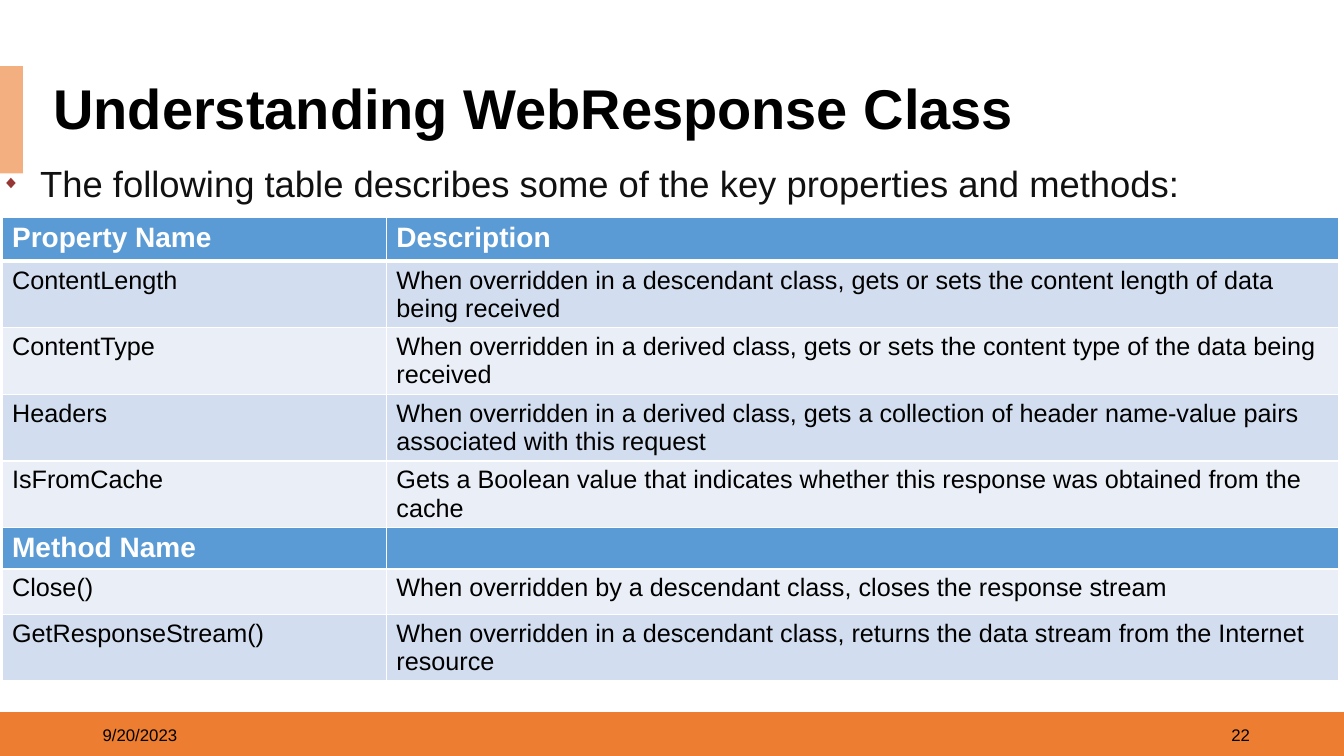
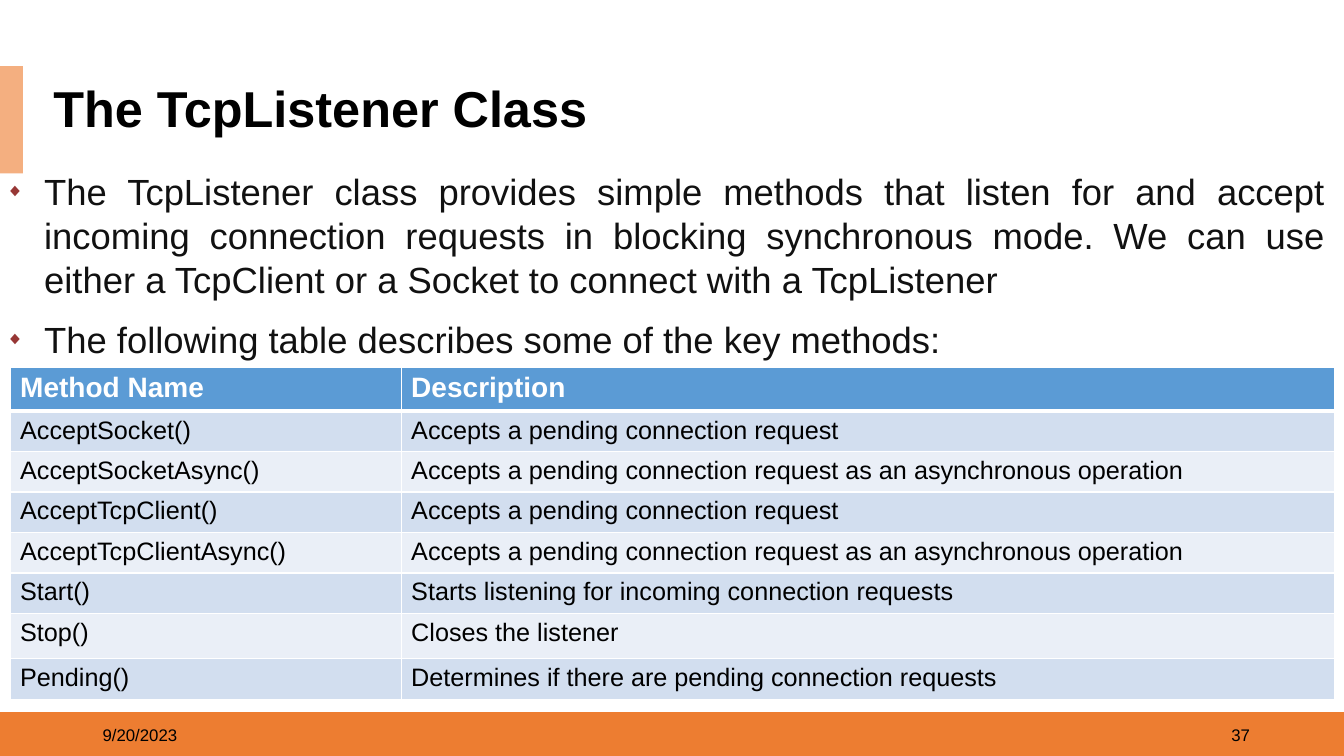
from lxml import etree
from pptx import Presentation
from pptx import util as u
from pptx.dml.color import RGBColor
from pptx.enum import shapes, text
from pptx.oxml import ns

COLORS = {
    "footer": "ED7D31", "accent": "F4AF80", "paper": "FFFFFF", "ink": "000000",
    "body": "111111", "bullet": "973735", "header": "5B9BD5",
    "odd row": "D2DEEF", "even row": "EAEFF7",
}
FONT = "Arial"
BODY_SIZE = 26
LEFT, RIGHT, JUSTIFY = text.PP_ALIGN.LEFT, text.PP_ALIGN.RIGHT, text.PP_ALIGN.JUSTIFY
DATE = "9/20/2023"

# All lengths are percentages of the slide's width or height.
BANDS = [((0, 94.2, 100, 5.8), "footer"), ((0, 8.75, 1.7, 14.2), "accent")]
TITLE_BOX = (3.22, 10.5, 95.9, 8.4)
DATE_BOX = (6.9, 94.5, 22.5, 5.3)
NUMBER_BOX = (71.25, 94.5, 22.5, 5.3)

SLIDES = [
    {
        "title": "Understanding WebResponse Class", "title_size": 40, "number": "22",
        "body_box": (-0.6, 20.65, 94.4, 7.2), "gap": 0,
        "body": ["The following table describes some of the key properties and methods:"],
        "table_at": (0.15, 28.7), "columns": (28.6, 70.85),
        "row_heights": [5.87, 8.8, 8.8, 8.8, 8.8, 5.5, 6, 8.8],
        "rows": [
            ("Property Name", "Description"),
            ("ContentLength", "When overridden in a descendant class, gets or sets the "
                              "content length of data being received"),
            ("ContentType", "When overridden in a derived class, gets or sets the "
                            "content type of the data being received"),
            ("Headers", "When overridden in a derived class, gets a collection of "
                        "header name-value pairs associated with this request"),
            ("IsFromCache", "Gets a Boolean value that indicates whether this response "
                            "was obtained from the cache"),
            ("Method Name", ""),
            ("Close()", "When overridden by a descendant class, closes the response stream"),
            ("GetResponseStream()", "When overridden in a descendant class, returns the "
                                    "data stream from the Internet resource"),
        ],
    },
    {
        "title": "The TcpListener Class", "title_size": 36, "number": "37",
        "body_box": (-0.3, 21.75, 99.75, 26.8), "gap": 6,
        "body": [
            "The TcpListener class provides simple methods that listen for and accept "
            "incoming connection requests in blocking synchronous mode. We can use "
            "either a TcpClient or a Socket to connect with a TcpListener",
            "The following table describes some of the key methods:",
        ],
        "table_at": (0.75, 48.6), "columns": (29.1, 69.45),
        "row_heights": [5.8] + [5.35] * 5 + [6, 5.4],
        "rows": [
            ("Method Name", "Description"),
            ("AcceptSocket()", "Accepts a pending connection request"),
            ("AcceptSocketAsync()",
             "Accepts a pending connection request as an asynchronous operation"),
            ("AcceptTcpClient()", "Accepts a pending connection request"),
            ("AcceptTcpClientAsync()",
             "Accepts a pending connection request as an asynchronous operation"),
            ("Start()", "Starts listening for incoming connection requests"),
            ("Stop()", "Closes the listener"),
            ("Pending()", "Determines if there are pending connection requests"),
        ],
    },
]

prs = Presentation()
prs.slide_width, prs.slide_height = u.Inches(13.33), u.Inches(7.5)


def place(left, top, width, height):
    """Turn percentages of the slide into lengths."""
    sides = (prs.slide_width, prs.slide_height) * 2
    return [u.Emu(round(share * side / 100))
            for share, side in zip((left, top, width, height), sides)]


def write(frame, *lines, size, color="ink", bold=False, align=LEFT, spacing=1.0,
          gap=0, bullet=None, anchor=text.MSO_ANCHOR.MIDDLE):
    frame.word_wrap = True
    frame.auto_size = text.MSO_AUTO_SIZE.NONE
    frame.vertical_anchor = anchor
    for index, line in enumerate(lines):
        paragraph = frame.add_paragraph() if index else frame.paragraphs[0]
        paragraph.alignment, paragraph.line_spacing = align, spacing
        paragraph.space_before = u.Pt(gap if index else 0)
        paragraph.space_after = u.Pt(gap)
        if bullet:
            props = paragraph._p.get_or_add_pPr()
            props.set("marL", str(u.Inches(0.38)))
            props.set("indent", str(-u.Inches(0.38)))
            tint = etree.SubElement(props, ns.qn("a:buClr"))
            etree.SubElement(tint, ns.qn("a:srgbClr"), val=COLORS["bullet"])
            etree.SubElement(props, ns.qn("a:buSzPct"), val="50000")
            etree.SubElement(props, ns.qn("a:buFont"), typeface=FONT)
            etree.SubElement(props, ns.qn("a:buChar"), char=bullet)
        run = paragraph.add_run()
        run.text = line
        run.font.name, run.font.size, run.font.bold = FONT, u.Pt(size), bold
        run.font.color.rgb = RGBColor.from_string(COLORS[color])


title_only = prs.slide_layouts[5]
for content in SLIDES:
    slide = prs.slides.add_slide(title_only)

    for box, color in BANDS:
        band = slide.shapes.add_shape(shapes.MSO_SHAPE.RECTANGLE, *place(*box))
        band.shadow.inherit = False
        band.fill.solid()
        band.fill.fore_color.rgb = RGBColor.from_string(COLORS[color])
        band.line.fill.background()

    for box, label, align in ((DATE_BOX, DATE, LEFT), (NUMBER_BOX, content["number"], RIGHT)):
        footer = slide.shapes.add_textbox(*place(*box))
        write(footer.text_frame, label, size=12, align=align)

    title = slide.shapes.title
    title.left, title.top, title.width, title.height = place(*TITLE_BOX)
    title.fill.solid()
    title.fill.fore_color.rgb = RGBColor.from_string(COLORS["paper"])
    write(title.text_frame, content["title"], size=content["title_size"], bold=True,
          spacing=0.9)

    body = slide.shapes.add_textbox(*place(*content["body_box"]))
    write(body.text_frame, *content["body"], size=BODY_SIZE, color="body", align=JUSTIFY,
          gap=content["gap"], bullet="◆", anchor=text.MSO_ANCHOR.TOP)

    rows, columns, heights = content["rows"], content["columns"], content["row_heights"]
    area = place(*content["table_at"], sum(columns), sum(heights))
    table = slide.shapes.add_table(len(rows), len(columns), *area).table
    for column, share in zip(table.columns, columns):
        column.width = u.Emu(round(share * prs.slide_width / 100))
    for row, share in zip(table.rows, heights):
        row.height = u.Emu(round(share * prs.slide_height / 100))

    for r, entries in enumerate(rows):
        is_header = entries[0].endswith("Name")
        fill = "header" if is_header else "odd row" if r % 2 else "even row"
        thick_side = {0: "B", 1: "T"}.get(r)
        for c, entry in enumerate(entries):
            cell = table.cell(r, c)
            props = cell._tc.get_or_add_tcPr()
            for side in "LRTB":
                width = u.Pt(3 if side == thick_side else 1)
                border = etree.SubElement(props, ns.qn(f"a:ln{side}"), w=str(width))
                paint = etree.SubElement(border, ns.qn("a:solidFill"))
                etree.SubElement(paint, ns.qn("a:srgbClr"), val=COLORS["paper"])
            cell.fill.solid()
            cell.fill.fore_color.rgb = RGBColor.from_string(COLORS[fill])
            if entry:
                write(cell.text_frame, entry, size=20 if is_header else 18, bold=is_header,
                      color="paper" if is_header else "ink", anchor=text.MSO_ANCHOR.TOP)

prs.save("out.pptx")
